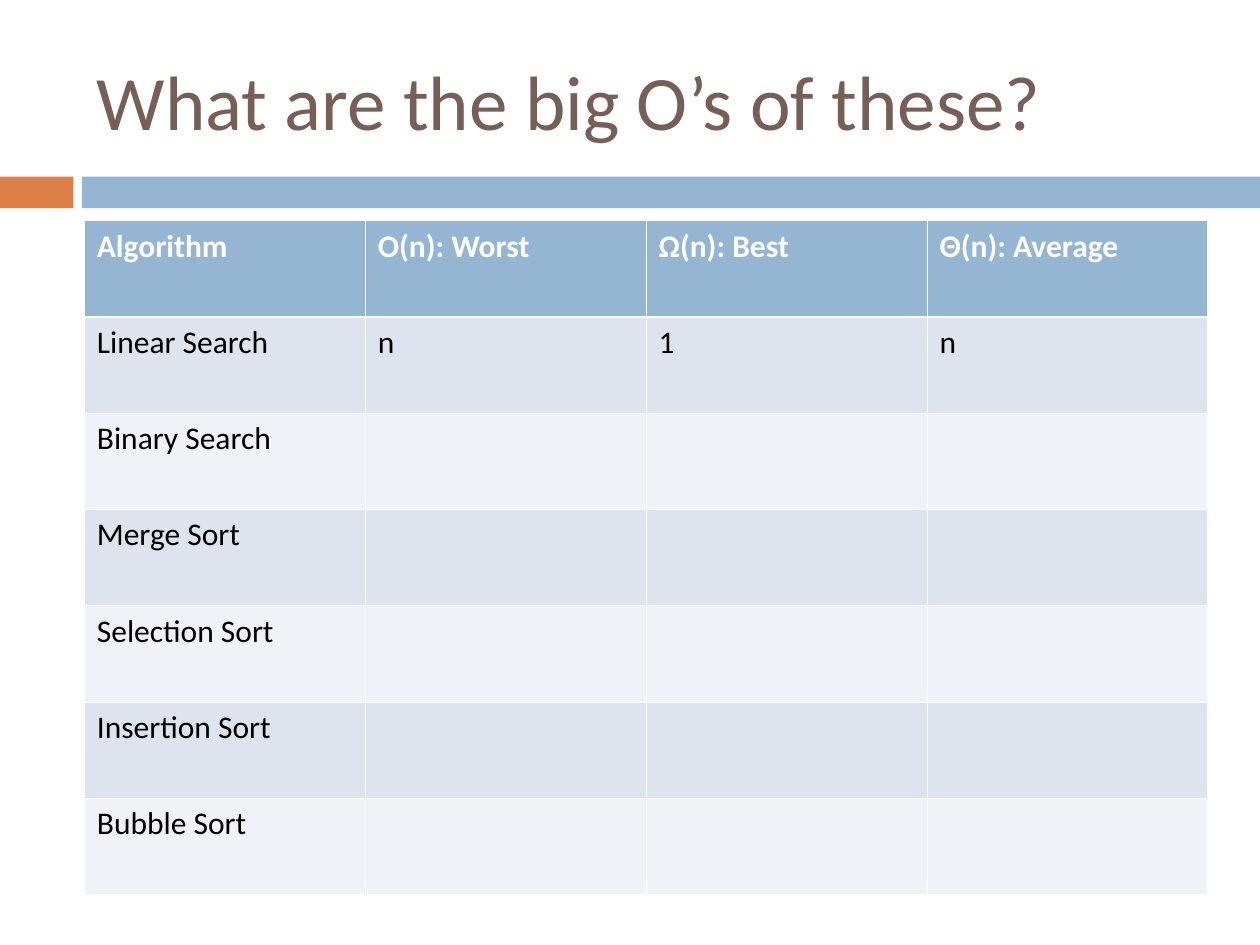
from dataclasses import dataclass

from lxml.etree import SubElement
from pptx import Presentation
from pptx.dml.color import RGBColor
from pptx.enum.shapes import MSO_SHAPE
from pptx.enum.text import MSO_ANCHOR
from pptx.oxml.ns import qn
from pptx.slide import Slide
from pptx.table import _Cell
from pptx.text.text import _Paragraph
from pptx.util import Cm, Pt


@dataclass(frozen=True)
class Theme:
    font: str = "Calibri"
    title_size: float = 44
    cell_size: float = 18
    title: str = "775F55"
    orange: str = "DD8047"
    blue: str = "94B6D2"
    band_dark: str = "DCE5EE"
    band_light: str = "EFF3F7"
    white: str = "FFFFFF"
    black: str = "000000"
    thin_line: float = 0.45
    thick_line: float = 1.47


@dataclass(frozen=True)
class Bar:
    left: float
    width: float
    color: str


THEME = Theme()
SLIDE_WIDTH, SLIDE_HEIGHT = 25.4, 19.05
CONTENT_LEFT, CONTENT_WIDTH = 1.7, 22.65
BAR_TOP, BAR_HEIGHT = 3.56, 0.64
TABLE_TOP, ROW_HEIGHT = 4.45, 1.94

BARS = [
    Bar(0, 1.48, THEME.orange),
    Bar(1.65, SLIDE_WIDTH - 1.65, THEME.blue),
]
HEADINGS = ["Algorithm", "O(n): Worst", "Ω(n): Best", "Θ(n): Average"]
ALGORITHMS = [
    ["Linear Search", "n", "1", "n"],
    ["Binary Search"],
    ["Merge Sort"],
    ["Selection Sort"],
    ["Insertion Sort"],
    ["Bubble Sort"],
]


def add_span(para: _Paragraph, text: str, size: float, color: str, bold: bool = False) -> None:
    span = para.add_run()
    span.text = text
    span.font.name = THEME.font
    span.font.size = Pt(size)
    span.font.bold = bold
    span.font.color.rgb = RGBColor.from_string(color)


def draw_bar(page: Slide, bar: Bar) -> None:
    shape = page.shapes.add_shape(
        MSO_SHAPE.RECTANGLE, Cm(bar.left), Cm(BAR_TOP), Cm(bar.width), Cm(BAR_HEIGHT))
    shape.shadow.inherit = False
    shape.fill.solid()
    shape.fill.fore_color.rgb = RGBColor.from_string(bar.color)
    shape.line.fill.background()


def draw_title(page: Slide, text: str) -> None:
    box = page.shapes.add_textbox(Cm(CONTENT_LEFT), Cm(0.64), Cm(CONTENT_WIDTH), Cm(2.74))
    box.text_frame.word_wrap = True
    box.text_frame.vertical_anchor = MSO_ANCHOR.MIDDLE
    add_span(box.text_frame.paragraphs[0], text, THEME.title_size, THEME.title)


def add_border(cell: _Cell, side: str, width: float) -> None:
    properties = cell._tc.get_or_add_tcPr()
    line = SubElement(properties, qn(f"a:ln{side}"), w=str(Pt(width)))
    fill = SubElement(line, qn("a:solidFill"))
    SubElement(fill, qn("a:srgbClr"), val=THEME.white)


def style_cell(cell: _Cell, row: int) -> None:
    # Borders come before the fill; a thicker line runs under the heading row
    thick_side = {0: "B", 1: "T"}.get(row)
    for side in "LRTB":
        add_border(cell, side, THEME.thick_line if side == thick_side else THEME.thin_line)
    band = THEME.band_dark if row % 2 else THEME.band_light
    cell.fill.solid()
    cell.fill.fore_color.rgb = RGBColor.from_string(band if row else THEME.blue)


def draw_table(page: Slide, rows: list[list[str]]) -> None:
    columns = len(rows[0])
    table = page.shapes.add_table(
        len(rows), columns, Cm(CONTENT_LEFT), Cm(TABLE_TOP),
        Cm(CONTENT_WIDTH), Cm(ROW_HEIGHT * len(rows))).table
    for row, texts in enumerate(rows):
        for column in range(columns):
            style_cell(table.cell(row, column), row)
        for column, text in enumerate(texts):
            para = table.cell(row, column).text_frame.paragraphs[0]
            color = THEME.black if row else THEME.white
            add_span(para, text, THEME.cell_size, color, bold=row == 0)


def main() -> None:
    deck = Presentation()
    deck.slide_width, deck.slide_height = Cm(SLIDE_WIDTH), Cm(SLIDE_HEIGHT)
    page = deck.slides.add_slide(deck.slide_layouts[6])

    # Divider bars
    for bar in BARS:
        draw_bar(page, bar)

    # Title and complexity table
    draw_title(page, "What are the big O’s of these?")
    draw_table(page, [HEADINGS, *ALGORITHMS])

    deck.save("out.pptx")


if __name__ == "__main__":
    main()
